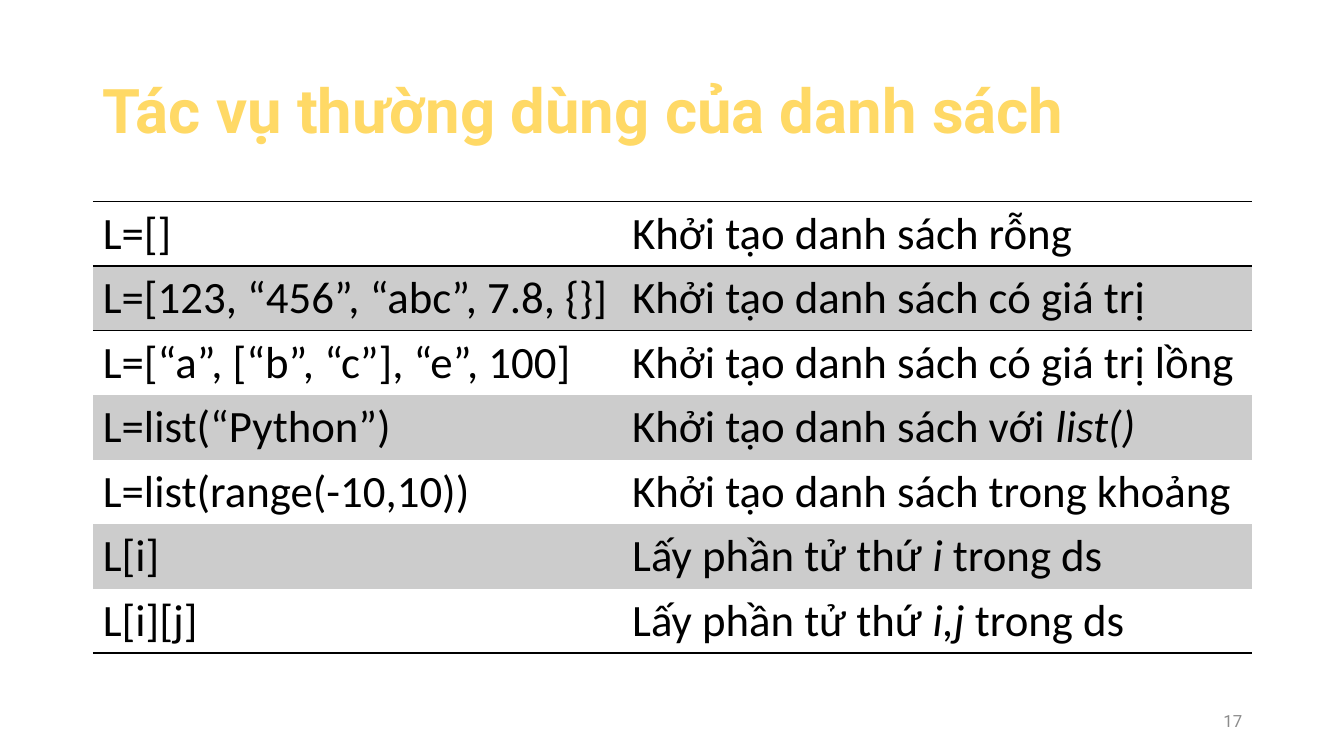
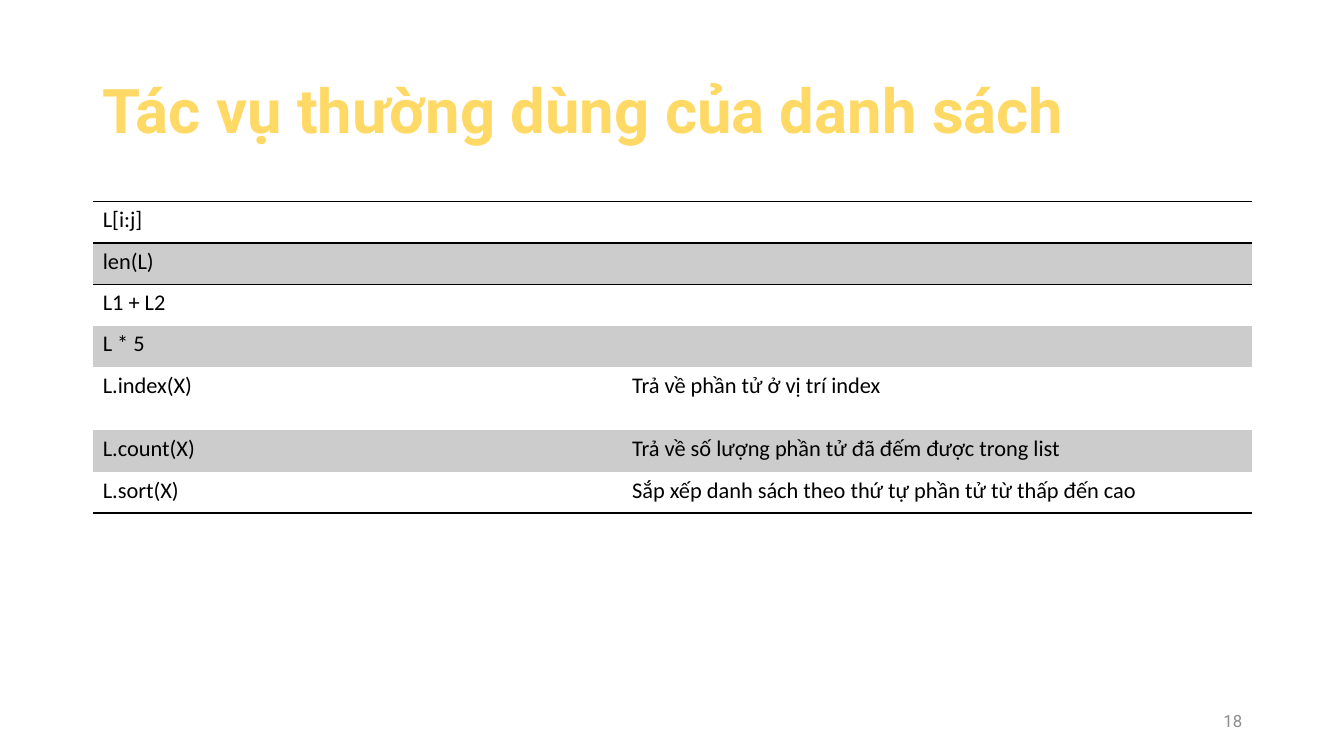
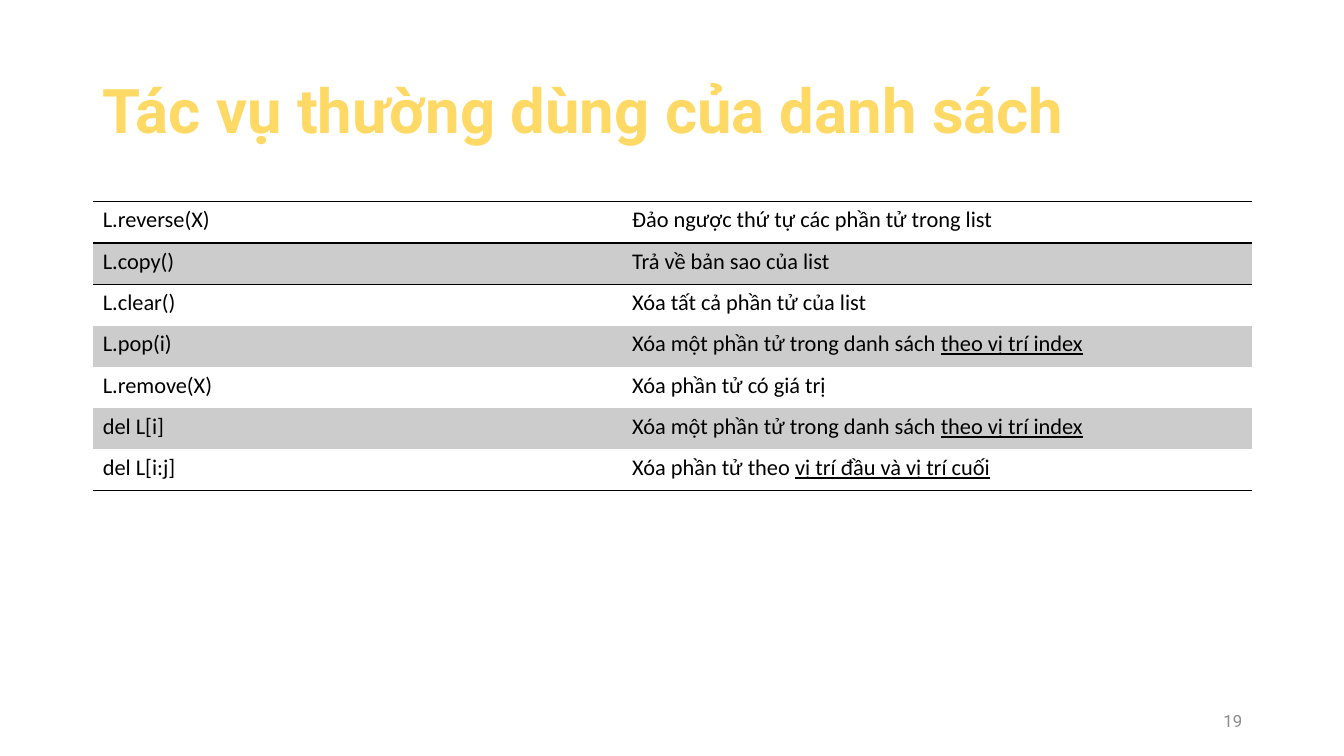
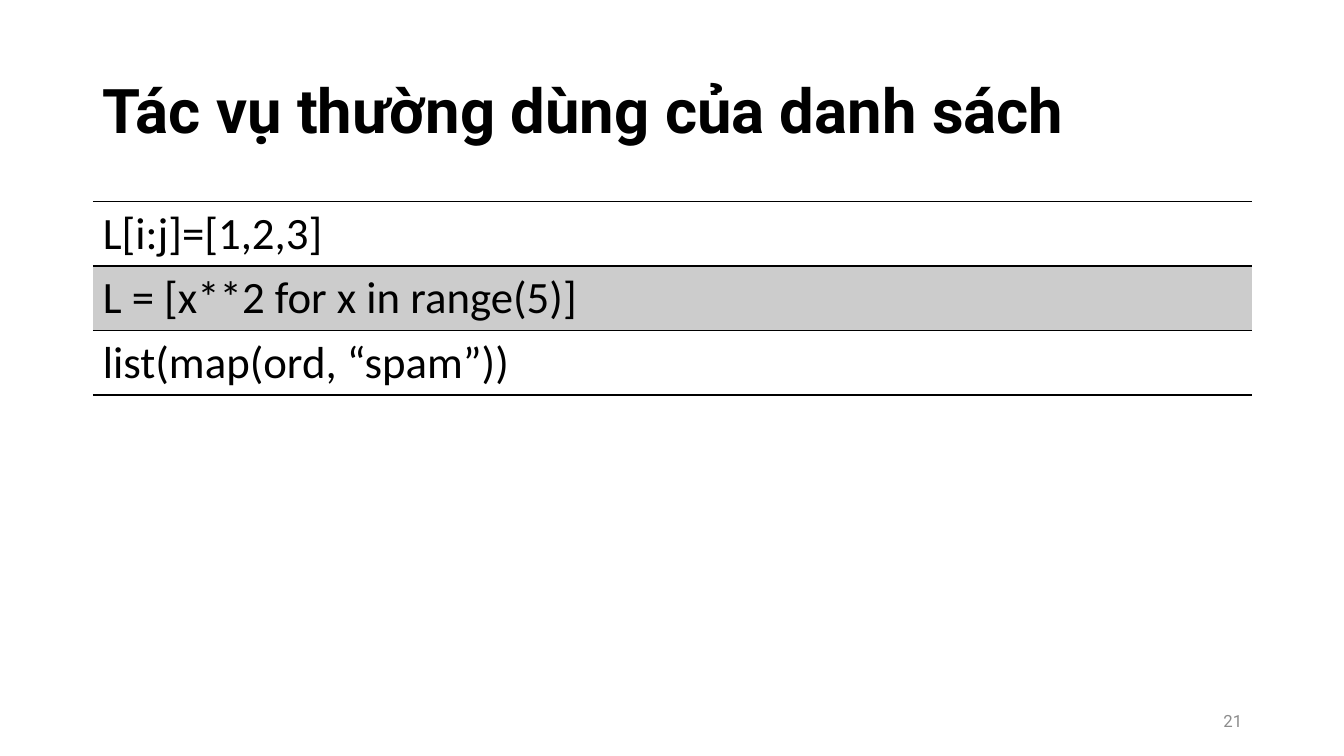
from dataclasses import dataclass, field

from lxml import etree
from pptx import Presentation
from pptx import util as u
from pptx.dml import color
from pptx.enum import text
from pptx.oxml import ns

WIDTH, HEIGHT = 13.33, 7.5
MARGIN = 0.92
COLUMNS = (5.25, 6.25)
CONTENT_WIDTH = sum(COLUMNS)
TABLE_TOP = 2.0
NUMBER_WIDTH = 3.0

BLACK, GOLD, GREY, BAND = "000000", "FFD966", "8C8C8C", "CCCCCC"
HEADING_FONT, BODY_FONT = "Roboto", "Calibri"
TITLE = "Tác vụ thường dùng của danh sách"
PLAIN_TABLE_STYLE = "{2D5ABB26-0587-4C30-8999-92F81FD0307C}"


@dataclass(frozen=True)
class Span:
    words: str
    italic: bool = False
    underline: bool = False


@dataclass(frozen=True)
class Row:
    code: str
    meaning: tuple[Span, ...] = ()


@dataclass(frozen=True)
class TableSlide:
    number: int
    rows: tuple[Row, ...]
    size: int
    row_height: float
    title_color: str = GOLD
    tall_rows: dict[int, float] = field(default_factory=dict)


def row(code: str, *meaning: str | Span) -> Row:
    return Row(code, tuple(Span(part) if isinstance(part, str) else part for part in meaning))


def italic(words: str) -> Span:
    return Span(words, italic=True)


def underlined(words: str) -> Span:
    return Span(words, underline=True)


SLIDES = (
    TableSlide(17, (
        row("L=[]", "Khởi tạo danh sách rỗng"),
        row("L=[123, “456”, “abc”, 7.8, {}]", "Khởi tạo danh sách có giá trị"),
        row("L=[“a”, [“b”, “c”], “e”, 100]", "Khởi tạo danh sách có giá trị lồng"),
        row("L=list(“Python”)", "Khởi tạo danh sách với ", italic("list()")),
        row("L=list(range(-10,10))", "Khởi tạo danh sách trong khoảng"),
        row("L[i]", "Lấy phần tử thứ ", italic("i "), "trong ds"),
        row("L[i][j]", "Lấy phần tử thứ ", italic("i,j "), "trong ds"),
    ), size=32, row_height=0.64),
    TableSlide(18, (
        row("L[i:j]"),
        row("len(L)"),
        row("L1 + L2"),
        row("L * 5"),
        row("L.index(X)", "Trả về phần tử ở vị trí index"),
        row("L.count(X)", "Trả về số lượng phần tử đã đếm được trong list"),
        row("L.sort(X)", "Sắp xếp danh sách theo thứ tự phần tử từ thấp đến cao"),
    ), size=16, row_height=0.41, tall_rows={4: 0.63}),
    TableSlide(19, (
        row("L.reverse(X)", "Đảo ngược thứ tự các phần tử trong list"),
        row("L.copy()", "Trả về bản sao của list"),
        row("L.clear()", "Xóa tất cả phần tử của list"),
        row("L.pop(i)", "Xóa một phần tử trong danh sách ", underlined("theo vị trí index")),
        row("L.remove(X)", "Xóa phần tử có giá trị"),
        row("del L[i]", "Xóa một phần tử trong danh sách ", underlined("theo vị trí index")),
        row("del L[i:j]", "Xóa phần tử theo ", underlined("vị trí đầu và vị trí cuối")),
    ), size=16, row_height=0.41),
    TableSlide(21, (
        row("L[i:j]=[1,2,3]"),
        row("L = [x**2 for x in range(5)]"),
        row("list(map(ord, “spam”))"),
    ), size=32, row_height=0.64, title_color=BLACK),
)


def rgb(value: str) -> color.RGBColor:
    return color.RGBColor.from_string(value)


def style_font(font, name: str, size: int, hex_color: str) -> None:
    font.name = name
    font.size = u.Pt(size)
    font.color.rgb = rgb(hex_color)


def add_label(slide, box: tuple[float, float, float, float], words: str, size: int, hex_color: str):
    label = slide.shapes.add_textbox(*map(u.Inches, box))
    frame = label.text_frame
    frame.word_wrap = True
    frame.vertical_anchor = text.MSO_ANCHOR.MIDDLE
    frame.text = words
    paragraph = frame.paragraphs[0]
    style_font(paragraph.runs[0].font, HEADING_FONT, size, hex_color)
    return paragraph


def add_title(slide, hex_color: str) -> None:
    paragraph = add_label(slide, (MARGIN, 0.4, CONTENT_WIDTH, 1.45), TITLE, 44, hex_color)
    paragraph.line_spacing = 0.9
    paragraph.runs[0].font.bold = True


def add_number(slide, number: int) -> None:
    left = MARGIN + CONTENT_WIDTH - NUMBER_WIDTH
    paragraph = add_label(slide, (left, 6.95, NUMBER_WIDTH, 0.4), str(number), 12, GREY)
    paragraph.alignment = text.PP_ALIGN.RIGHT


def add_rule(cell, side: str) -> None:
    properties = cell._tc.get_or_add_tcPr()
    line = etree.SubElement(properties, ns.qn(f"a:{side}"), w=str(u.Pt(1)))
    fill = etree.SubElement(line, ns.qn("a:solidFill"))
    etree.SubElement(fill, ns.qn("a:srgbClr"), val=BLACK)


def write_cell(cell, spans: tuple[Span, ...], size: int) -> None:
    paragraph = cell.text_frame.paragraphs[0]
    paragraph.font.size = u.Pt(size)
    for span in spans:
        run = paragraph.add_run()
        run.text = span.words
        style_font(run.font, BODY_FONT, size, BLACK)
        run.font.italic = span.italic
        run.font.underline = span.underline


def paint_cell(cell, index: int, last: int) -> None:
    if index in (0, 1):
        add_rule(cell, "lnT")
    if index in (0, last):
        add_rule(cell, "lnB")
    if index % 2:
        cell.fill.solid()
        cell.fill.fore_color.rgb = rgb(BAND)
    else:
        cell.fill.background()


def add_operations(slide, content: TableSlide) -> None:
    count = len(content.rows)
    heights = [content.tall_rows.get(index, content.row_height) for index in range(count)]
    box = (MARGIN, TABLE_TOP, CONTENT_WIDTH, sum(heights))
    table = slide.shapes.add_table(count, len(COLUMNS), *map(u.Inches, box)).table
    table.first_row = table.horz_banding = False
    table._tbl.tblPr.find(ns.qn("a:tableStyleId")).text = PLAIN_TABLE_STYLE
    for column, width in zip(table.columns, COLUMNS):
        column.width = u.Inches(width)
    for index, (entry, height) in enumerate(zip(content.rows, heights)):
        table.rows[index].height = u.Inches(height)
        for cell, spans in zip(table.rows[index].cells, ((Span(entry.code),), entry.meaning)):
            write_cell(cell, spans, content.size)
            paint_cell(cell, index, count - 1)


def main() -> None:
    presentation = Presentation()
    presentation.slide_width = u.Inches(WIDTH)
    presentation.slide_height = u.Inches(HEIGHT)
    for content in SLIDES:
        slide = presentation.slides.add_slide(presentation.slide_layouts[6])
        add_title(slide, content.title_color)
        add_operations(slide, content)
        add_number(slide, content.number)
    presentation.save("out.pptx")


if __name__ == "__main__":
    main()
